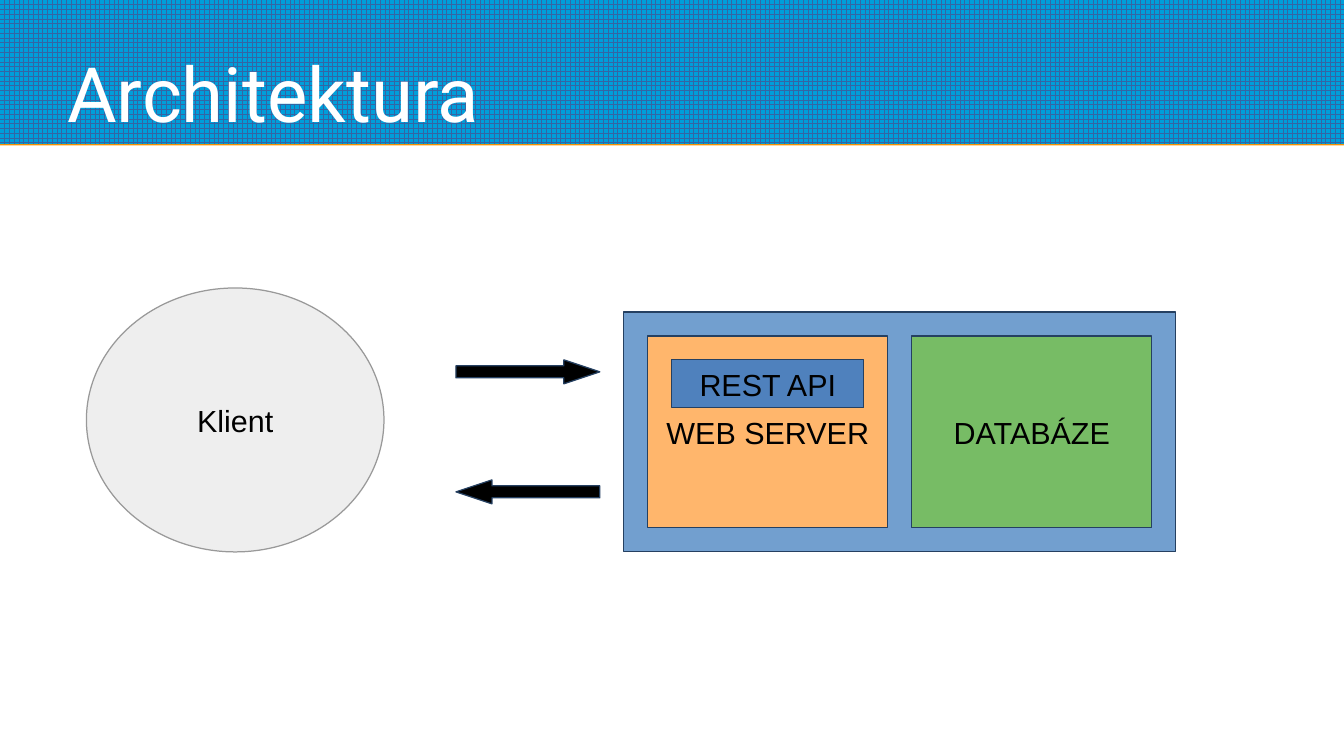
import dataclasses

import lxml.etree
import pptx
import pptx.dml.color
import pptx.enum.dml
import pptx.enum.shapes
import pptx.enum.text
import pptx.oxml.ns
import pptx.util

Pt = pptx.util.Pt
Shapes = pptx.enum.shapes.MSO_SHAPE
Anchor = pptx.enum.text.MSO_ANCHOR
Align = pptx.enum.text.PP_ALIGN
UNIT = 14.17


@dataclasses.dataclass(frozen=True)
class Theme:
    banner: str = "009EDA"
    banner_grid: str = "3465A4"
    banner_edge: str = "F49100"
    title: str = "FFFFFF"
    text: str = "000000"
    outline: str = "254061"
    backend: str = "729FCF"
    web_server: str = "FFB66C"
    database: str = "77BC65"
    rest_api: str = "4F81BD"
    client: str = "EEEEEE"
    client_outline: str = "999999"
    arrow: str = "000000"
    title_font: str = "Roboto"
    label_font: str = "Arial"
    title_size: float = 45
    label_size: float = 18


def color(value):
    return pptx.dml.color.RGBColor.from_string(value)


class Diagram:
    def __init__(self, slide, theme):
        self.slide = slide
        self.theme = theme

    def set_text(self, text_frame, text, font, size, text_color, alignment):
        text_frame.text = text
        paragraph = text_frame.paragraphs[0]
        paragraph.alignment = alignment
        run_font = paragraph.runs[0].font
        run_font.name = font
        run_font.size = Pt(size)
        run_font.color.rgb = color(text_color)

    def banner(self, width, height):
        shape = self.slide.shapes.add_shape(Shapes.RECTANGLE, 0, 0, Pt(width), Pt(height))
        shape.fill.patterned()
        shape.fill.pattern = pptx.enum.dml.MSO_PATTERN.LARGE_GRID
        shape.fill.fore_color.rgb = color(self.theme.banner_grid)
        shape.fill.back_color.rgb = color(self.theme.banner)
        shape.line.fill.background()
        shape.shadow.inherit = False
        qn = pptx.oxml.ns.qn
        effects = shape.element.spPr.find(qn("a:effectLst"))
        shadow = lxml.etree.SubElement(
            effects, qn("a:outerShdw"), dist=str(Pt(0.9)), dir="5400000", algn="ctr", rotWithShape="0")
        lxml.etree.SubElement(shadow, qn("a:srgbClr"), val=self.theme.banner_edge)

    def title(self, text, left, top, width, height):
        box = self.slide.shapes.add_textbox(Pt(left), Pt(top), Pt(width), Pt(height))
        text_frame = box.text_frame
        text_frame.word_wrap = True
        text_frame.vertical_anchor = Anchor.BOTTOM
        text_frame.margin_left = text_frame.margin_right = 0
        text_frame.margin_top = text_frame.margin_bottom = 0
        self.set_text(text_frame, text, self.theme.title_font, self.theme.title_size,
                      self.theme.title, Align.LEFT)

    def node(self, kind, column, row, columns, rows, fill, text="", outline=None):
        bounds = [Pt(value * UNIT) for value in (column, row, columns, rows)]
        shape = self.slide.shapes.add_shape(kind, *bounds)
        shape.shadow.inherit = False
        shape.fill.solid()
        shape.fill.fore_color.rgb = color(fill)
        shape.line.color.rgb = color(outline or self.theme.outline)
        shape.line.width = Pt(0)
        if text:
            shape.text_frame.word_wrap = True
            shape.text_frame.vertical_anchor = Anchor.MIDDLE
            self.set_text(shape.text_frame, text, self.theme.label_font, self.theme.label_size,
                          self.theme.text, Align.CENTER)
        return shape

    def arrow(self, kind, row):
        shape = self.node(kind, 19, row, 6, 1, self.theme.arrow)
        shape.adjustments[0] = 0.5
        shape.adjustments[1] = 1.5


def main():
    presentation = pptx.Presentation()
    presentation.slide_width = Pt(793.7)
    presentation.slide_height = Pt(446.46)
    slide = presentation.slides.add_slide(presentation.slide_layouts[6])
    theme = Theme()
    diagram = Diagram(slide, theme)

    diagram.banner(793.7, 85)
    diagram.title("Architektura", 39.7, 7.2, 714.3, 74.2)

    diagram.node(Shapes.RECTANGLE, 26, 13, 23, 10, theme.backend)
    diagram.node(Shapes.RECTANGLE, 27, 14, 10, 8, theme.web_server, "WEB SERVER")
    diagram.node(Shapes.RECTANGLE, 38, 14, 10, 8, theme.database, "DATABÁZE")
    diagram.node(Shapes.RECTANGLE, 28, 15, 8, 2, theme.rest_api, "REST API")
    diagram.node(Shapes.OVAL, 3.6, 12, 12.4, 11, theme.client, "Klient", theme.client_outline)
    diagram.arrow(Shapes.RIGHT_ARROW, 15)
    diagram.arrow(Shapes.LEFT_ARROW, 20)

    presentation.save("out.pptx")


if __name__ == "__main__":
    main()
